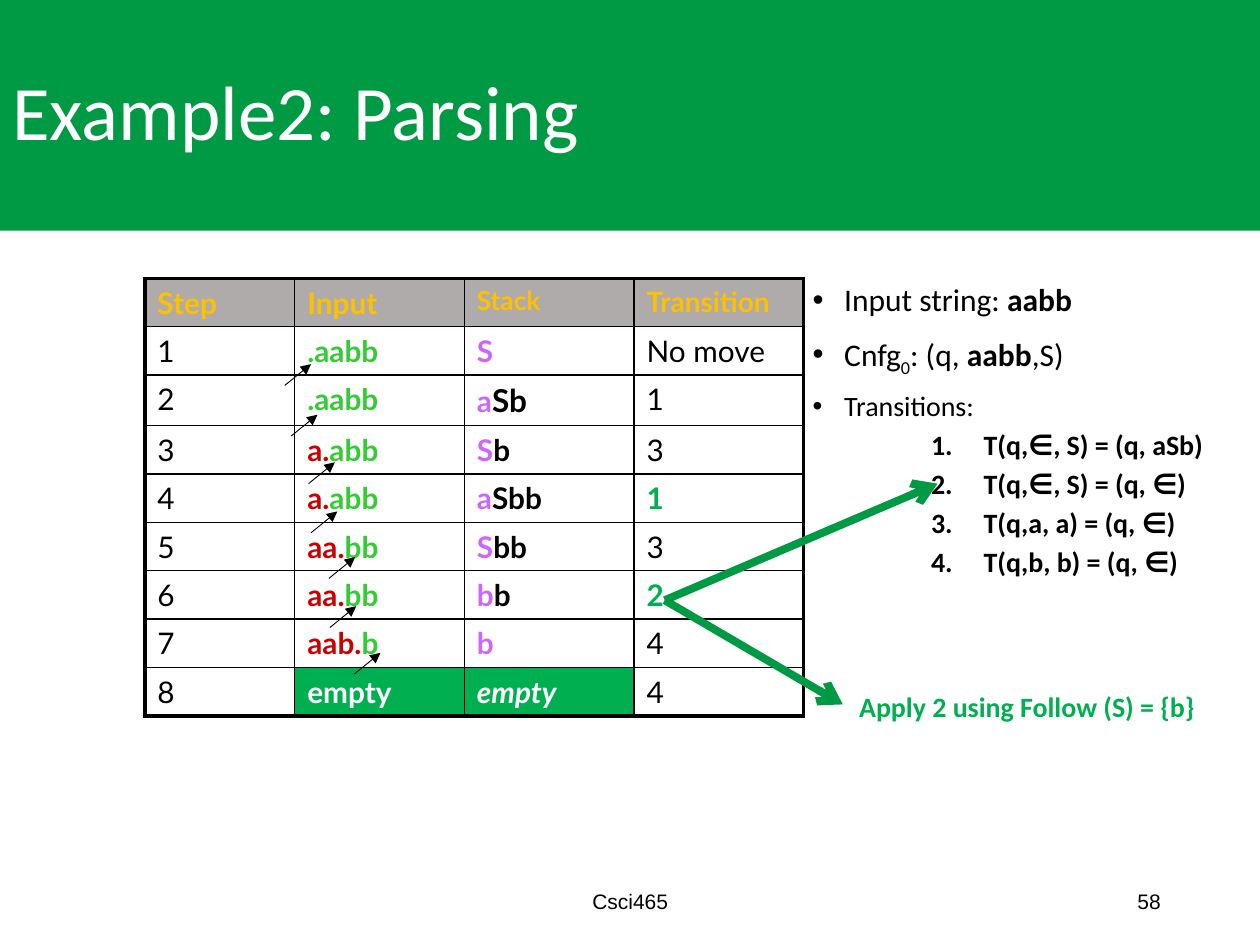
from lxml import etree
from pptx import Presentation
from pptx.dml.color import RGBColor
from pptx.enum.shapes import MSO_CONNECTOR, MSO_SHAPE
from pptx.enum.text import MSO_ANCHOR, PP_ALIGN
from pptx.oxml.ns import qn
from pptx.util import Cm, Pt

RECTANGLE = MSO_SHAPE.RECTANGLE
STRAIGHT = MSO_CONNECTOR.STRAIGHT
TOP, MIDDLE = MSO_ANCHOR.TOP, MSO_ANCHOR.MIDDLE
LEFT, CENTER, RIGHT = PP_ALIGN.LEFT, PP_ALIGN.CENTER, PP_ALIGN.RIGHT

BLACK = RGBColor(0x00, 0x00, 0x00)
WHITE = RGBColor(0xFF, 0xFF, 0xFF)
BANNER_GREEN = RGBColor(0x00, 0x9A, 0x44)
ACCENT_GREEN = RGBColor(0x00, 0xB0, 0x50)
INPUT_GREEN = RGBColor(0x33, 0xCC, 0x33)
CONSUMED_RED = RGBColor(0xCC, 0x00, 0x00)
STACK_PURPLE = RGBColor(0xCC, 0x66, 0xFF)
HEADER_GOLD = RGBColor(0xFF, 0xC0, 0x00)
HEADER_GRAY = RGBColor(0xAF, 0xAB, 0xAB)

THIN, THICK = Pt(1), Pt(2.25)


def add_span(para, text, size=16, color=BLACK, font="Calibri",
             bold=False, italic=False, baseline=None):
    span = para.add_run()
    span.text = text
    span.font.size = Pt(size)
    span.font.name = font
    span.font.color.rgb = color
    span.font.bold = bold
    span.font.italic = italic
    if baseline is not None:
        span._r.get_or_add_rPr().set("baseline", str(baseline * 1000))


class PageBuilder:
    def __init__(self, page, table_font="Lato", table_size=17):
        self.page = page
        self.table_font = table_font
        self.table_size = table_size

    def text(self, text, left, top, width, height, align=LEFT, anchor=TOP, **style):
        box = self.page.shapes.add_textbox(Cm(left), Cm(top), Cm(width), Cm(height))
        frame = box.text_frame
        frame.word_wrap = True
        frame.vertical_anchor = anchor
        para = frame.paragraphs[0]
        para.alignment = align
        add_span(para, text, **style)

    def banner(self, text, width, height):
        shape = self.page.shapes.add_shape(RECTANGLE, 0, 0, Cm(width), Cm(height))
        shape.shadow.inherit = False
        shape.fill.solid()
        shape.fill.fore_color.rgb = BANNER_GREEN
        shape.line.fill.background()
        shape.text_frame.word_wrap = True
        shape.text_frame.vertical_anchor = MIDDLE
        para = shape.text_frame.paragraphs[0]
        para.alignment = LEFT
        para.line_spacing = 0.9
        add_span(para, text, size=44, color=WHITE)

    def outline(self, items, left, top, width, height):
        """Each item is (is_numbered, [(text, style), ...])."""
        box = self.page.shapes.add_textbox(Cm(left), Cm(top), Cm(width), Cm(height))
        frame = box.text_frame
        frame.word_wrap = True
        for index, (numbered, spans) in enumerate(items):
            para = frame.paragraphs[0] if index == 0 else frame.add_paragraph()
            para.line_spacing = 0.9
            if index:
                para.space_before = Pt(5 if numbered else 10)
            margin, hanging = (3.45, 1.06) if numbered else (0.64, 0.64)
            props = para._p.get_or_add_pPr()
            props.set("marL", str(Cm(margin)))
            props.set("indent", str(-Cm(hanging)))
            if numbered:
                para.level = 2
                etree.SubElement(props, qn("a:buFont"), typeface="+mj-lt")
                etree.SubElement(props, qn("a:buAutoNum"), type="arabicPeriod")
            else:
                etree.SubElement(props, qn("a:buFont"), typeface="Arial")
                etree.SubElement(props, qn("a:buChar"), char="•")
            for text, style in spans:
                add_span(para, text, **style)

    def border(self, cell, side, width):
        line = etree.SubElement(cell._tc.get_or_add_tcPr(), qn(f"a:ln{side}"), w=str(width))
        fill = etree.SubElement(line, qn("a:solidFill"))
        etree.SubElement(fill, qn("a:srgbClr"), val=str(BLACK))

    def table(self, rows, left, top, widths, heights):
        """Each cell is (fill, [(text, style), ...])."""
        frame = self.page.shapes.add_table(
            len(rows), len(widths), Cm(left), Cm(top), Cm(sum(widths)), Cm(sum(heights)))
        table = frame.table
        table.first_row = table.horz_banding = False
        for column, width in zip(table.columns, widths):
            column.width = Cm(width)
        for r, (row, height) in enumerate(zip(rows, heights)):
            table.rows[r].height = Cm(height)
            for c, (fill, spans) in enumerate(row):
                cell = table.cell(r, c)
                outer = {"L": c == 0, "R": c == len(widths) - 1,
                         "T": r == 0, "B": r == len(rows) - 1}
                for side, is_outer in outer.items():
                    self.border(cell, side, THICK if is_outer else THIN)
                cell.fill.solid()
                cell.fill.fore_color.rgb = fill
                for text, style in spans:
                    add_span(cell.text_frame.paragraphs[0], text,
                             **{"font": self.table_font, "size": self.table_size, **style})

    def arrow(self, start, end, color=BLACK, width=0.5, head="triangle"):
        line = self.page.shapes.add_connector(STRAIGHT, *map(Cm, start + end))
        line.line.color.rgb = color
        line.line.width = Pt(width)
        etree.SubElement(line.line._get_or_add_ln(), qn("a:tailEnd"), type=head)
        etree.SubElement(line._element.spPr, qn("a:effectLst"))


def parsing_rows():
    header = [(HEADER_GRAY, [(text, dict(size=size, color=HEADER_GOLD, bold=True))])
              for text, size in (("Step", 17), ("Input", 17), ("Stack", 15), ("Transition", 16))]
    # consumed input, remaining input, stack top, rest of stack, transition
    steps = [
        ("", ".aabb", "S", "", "No move"),
        ("", ".aabb", "a", "Sb", "1"),
        ("a.", "abb", "S", "b", "3"),
        ("a.", "abb", "a", "Sbb", "1"),
        ("aa.", "bb", "S", "bb", "3"),
        ("aa.", "bb", "b", "b", "2"),
        ("aab.", "b", "b", "", "4"),
    ]
    highlighted_steps = (4, 6)
    large_stack_step = 2
    rows = [header]
    for number, (consumed, remaining, stack_top, stack_rest, move) in enumerate(steps, 1):
        rest_size = 18 if number == large_stack_step else 17
        marked = number in highlighted_steps
        cells = [
            [(str(number), {})],
            [(consumed, dict(color=CONSUMED_RED, bold=True)),
             (remaining, dict(color=INPUT_GREEN, bold=True))],
            [(stack_top, dict(color=STACK_PURPLE, bold=True)),
             (stack_rest, dict(size=rest_size, bold=True))],
            [(move, dict(color=ACCENT_GREEN if marked else BLACK, bold=marked))],
        ]
        rows.append([(WHITE, [span for span in spans if span[0]]) for spans in cells])
    empty = dict(color=WHITE, bold=True)
    rows.append([
        (WHITE, [("8", {})]),
        (ACCENT_GREEN, [("empty", empty)]),
        (ACCENT_GREEN, [("empty", dict(empty, italic=True))]),
        (WHITE, [("4", {})]),
    ])
    return rows


def main():
    deck = Presentation()
    deck.slide_width, deck.slide_height = Cm(25.4), Cm(19.05)
    builder = PageBuilder(deck.slides.add_slide(deck.slide_layouts[6]))

    # Footer and title
    footer = dict(anchor=MIDDLE, size=12, font="Arial")
    builder.text("Csci465", 8.41, 17.65, 8.59, 1.02, align=CENTER, **footer)
    builder.text("58", 17.93, 17.65, 5.72, 1.02, align=RIGHT, **footer)
    builder.banner("Example2: Parsing", 25.4, 4.65)

    # Configuration and transitions
    plain, strong = dict(size=18), dict(size=18, bold=True)
    transitions = ["T(q,∈, S) = (q, aSb)", "T(q,∈, S) = (q, ∈)",
                   "T(q,a, a) = (q, ∈)", "T(q,b, b) = (q, ∈)"]
    items = [
        (False, [("Input string: ", plain), ("aabb", strong)]),
        (False, [("Cnfg", plain), ("0", dict(plain, baseline=-25)), (": (q, ", plain),
                 ("aabb", strong), (",S)", plain)]),
        (False, [("Transitions:", {})]),
    ] + [(True, [(rule, dict(bold=True))]) for rule in transitions]
    builder.outline(items, 16.13, 5.61, 8.71, 7.04)

    # Parsing steps
    builder.table(parsing_rows(), 2.92, 5.61, [3.02, 3.42, 3.42, 3.42],
                  [0.97] * 2 + [1.02] + [0.97] * 6)

    # Input pointers
    for x, y in ((5.74, 7.77), (5.87, 8.79), (6.22, 9.75), (6.27, 10.74),
                 (6.63, 11.66), (6.65, 12.65), (7.14, 13.59)):
        builder.arrow((x, y), (x + 0.53, y - 0.43))

    # Choice of transition 2
    builder.text("Apply 2 using Follow (S) = {b}", 17.07, 13.77, 7.77, 0.94,
                 color=ACCENT_GREEN, bold=True)
    for end in ((16.99, 14.2), (18.9, 9.75)):
        builder.arrow((13.4, 12.1), end, color=BANNER_GREEN, width=4.5, head="arrow")

    deck.save("out.pptx")


if __name__ == "__main__":
    main()
